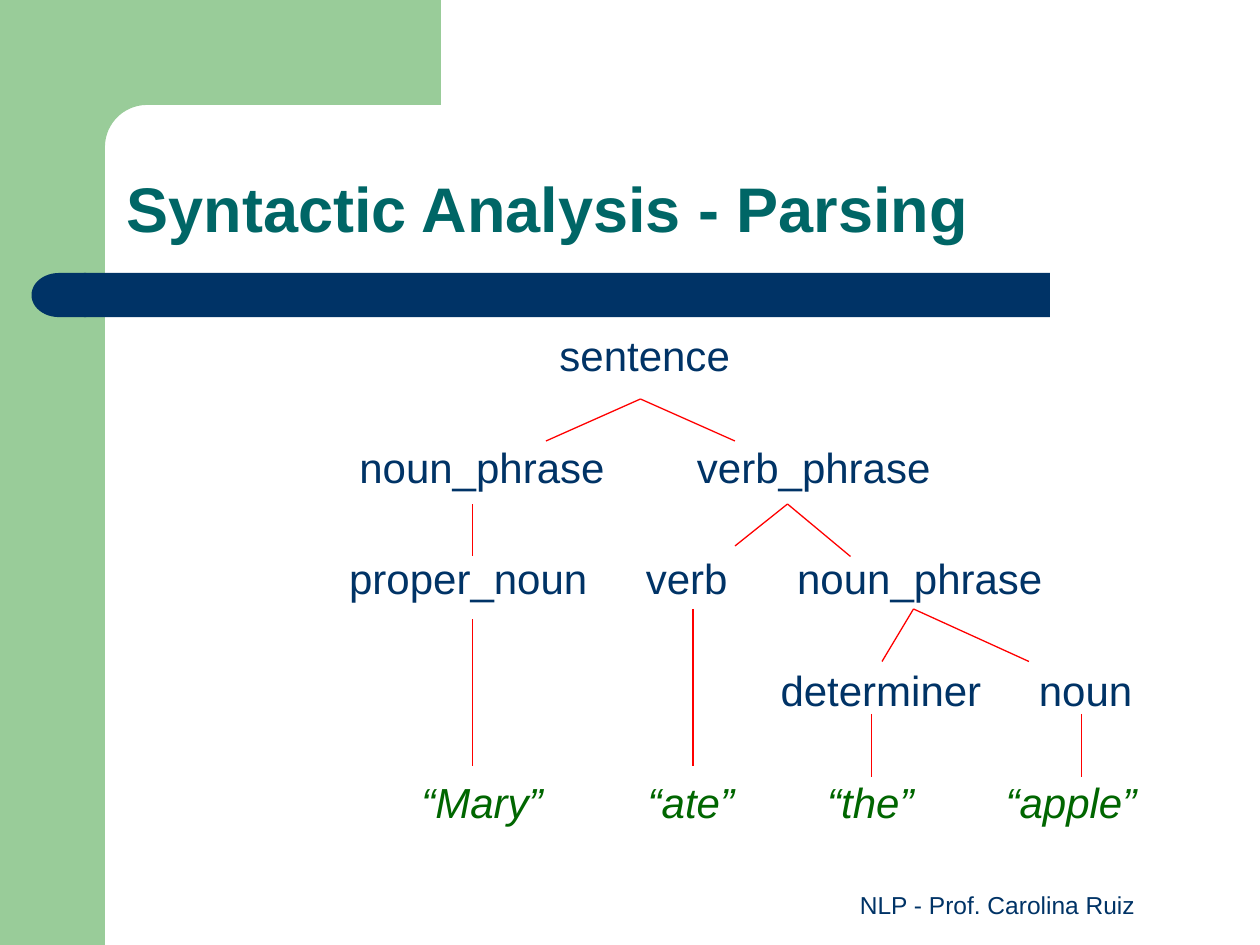
import math
from pptx import Presentation, util as u
from pptx.dml.color import RGBColor
from pptx.enum import shapes, text
from pptx.oxml.ns import qn
from lxml import etree

GREEN = RGBColor(0x99, 0xCC, 0x99)
NAVY = RGBColor(0x00, 0x33, 0x66)
TEAL = RGBColor(0x00, 0x66, 0x66)
WORD = RGBColor(0x00, 0x66, 0x00)
RED = RGBColor(0xFF, 0x00, 0x00)

prs = Presentation()
prs.slide_width, prs.slide_height = u.Inches(10), u.Inches(7.5)
s = prs.slides.add_slide(prs.slide_layouts[6])
COL = prs.slide_width / 120   # square grid, twelve units to the inch
ROW = prs.slide_height / 90


def paint(sp, color):
    """Give a shape a plain fill, with no line and no shadow."""
    sp.fill.solid()
    sp.fill.fore_color.rgb = color
    sp.line.fill.background()
    sp.shadow.inherit = False


def add_text(words, x, y, w, h, size, color, align, anchor):
    """Add one line of text in a box given in grid units; return its paragraph."""
    sp = s.shapes.add_textbox(int(x * COL), int(y * ROW), int(w * COL), int(h * ROW))
    tf = sp.text_frame
    tf.word_wrap = True
    tf.vertical_anchor = anchor
    p = tf.paragraphs[0]
    p.text = words
    p.alignment = align
    p.font.name, p.font.size, p.font.color.rgb = "Arial", u.Pt(size), color
    return p


# Green side band, and the top band with its rounded inner corner
band = s.shapes.add_shape(shapes.MSO_SHAPE.RECTANGLE, 0, 0, int(10 * COL), prs.slide_height)
paint(band, GREEN)
corner = [(14 - 4 * math.sin(a), 14 - 4 * math.cos(a))
          for a in (math.radians(d) for d in range(0, 91, 6))]
outline = [(42, 0), (42, 10)] + corner + [(10, 15.4), (6, 15.4), (6, 0)]
points = [(x * COL, y * ROW) for x, y in outline]
fb = s.shapes.build_freeform(*points[0])
fb.add_line_segments(points[1:], close=True)
paint(fb.convert_to_shape(), GREEN)

# Navy bar with a rounded left end
bar = s.shapes.add_shape(shapes.MSO_SHAPE.RECTANGLE,
                         int(8 * COL), int(26 * ROW), int(92 * COL), int(4.2 * ROW))
paint(bar, NAVY)
cap = s.shapes.add_shape(shapes.MSO_SHAPE.FLOWCHART_DELAY,
                         int(3 * COL), int(26 * ROW), int(5.2 * COL), int(4.2 * ROW))
cap._element.spPr.find(qn("a:xfrm")).set("flipH", "1")
paint(cap, NAVY)

# Title and footer
title = add_text("Syntactic Analysis - Parsing", 10.9, 10.9, 102, 13.1, 36, TEAL,
                 text.PP_ALIGN.LEFT, text.MSO_ANCHOR.BOTTOM)
title.font.bold = True
title.line_spacing = 0.9
add_text("NLP - Prof. Carolina Ruiz", 76, 82, 38, 6.2, 14, NAVY,
         text.PP_ALIGN.CENTER, text.MSO_ANCHOR.BOTTOM)

# Parse tree: one list per level, each node with the column of its centre
levels = [
    [("sentence", 61.4)],
    [("noun_phrase", 45.9), ("verb_phrase", 77.5)],
    [("proper_noun", 44.6), ("verb", 65.4), ("noun_phrase", 87.6)],
    [("determiner", 83.9), ("noun", 103.4)],
    [("“Mary”", 45.9), ("“ate”", 65.8), ("“the”", 82.9), ("“apple”", 102)],
]
FIRST_ROW, LEVEL_GAP, NODE_W, NODE_H = 33.8, 10.63, 30, 6
for level, nodes in enumerate(levels):
    is_word = level == len(levels) - 1
    for label, x in nodes:
        p = add_text(label, x - NODE_W / 2, FIRST_ROW + level * LEVEL_GAP - NODE_H / 2,
                     NODE_W, NODE_H, 24, WORD if is_word else NAVY,
                     text.PP_ALIGN.CENTER, text.MSO_ANCHOR.MIDDLE)
        p.font.italic = is_word

# Branches: start point, then the end points it leads to
branches = [
    ((61, 38), [(52, 42), (70, 42)]),
    ((45, 48), [(45, 53)]),
    ((45, 59), [(45, 73)]),
    ((75, 48), [(70, 52), (81, 53)]),
    ((87, 58), [(84, 63), (98, 63)]),
    ((66, 58), [(66, 73)]),
    ((83, 68), [(83, 74)]),
    ((103, 68), [(103, 74)]),
]
for (x1, y1), ends in branches:
    for x2, y2 in ends:
        line = s.shapes.add_connector(shapes.MSO_CONNECTOR.STRAIGHT, int(x1 * COL),
                                      int(y1 * ROW), int(x2 * COL), int(y2 * ROW))
        line.line.color.rgb = RED
        line.line.width = u.Pt(0.75)
        etree.SubElement(line._element.spPr, qn("a:effectLst"))

prs.save("out.pptx")
